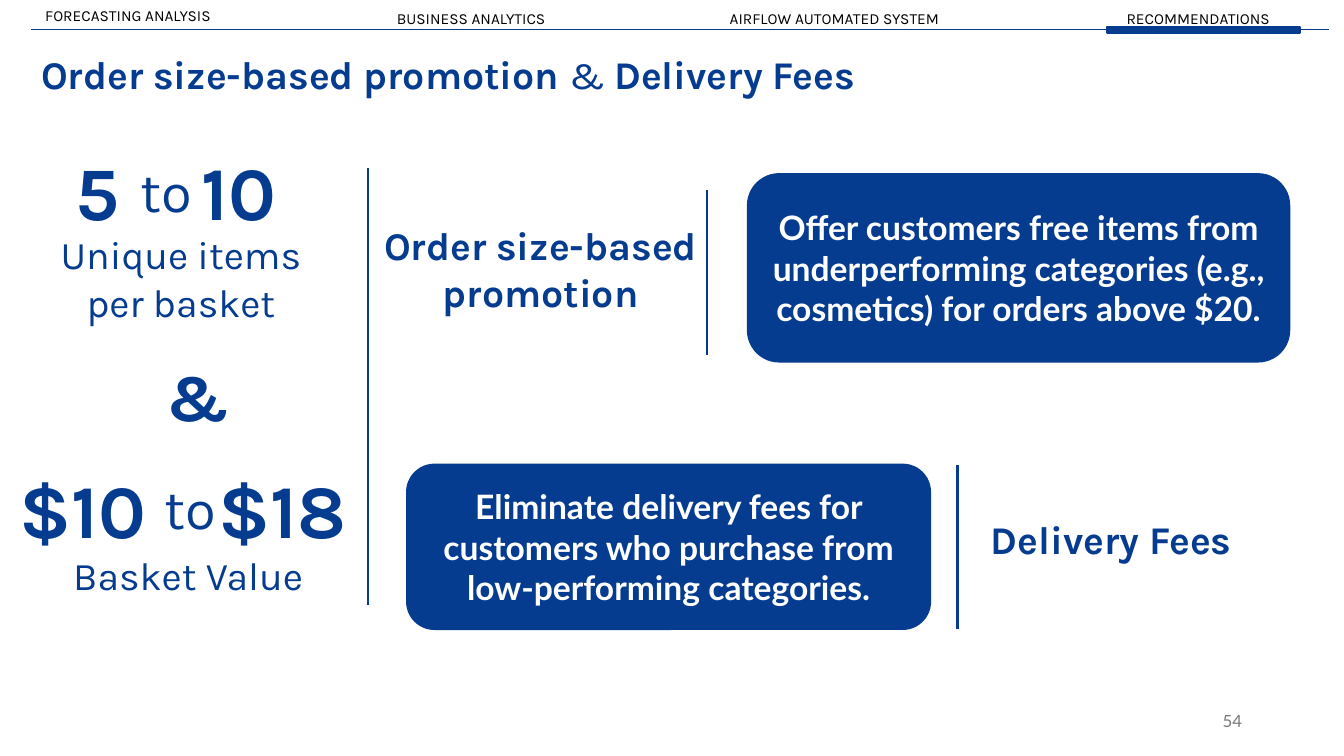
from dataclasses import dataclass

from lxml.etree import SubElement
from pptx import Presentation
from pptx.dml.color import RGBColor
from pptx.enum.shapes import MSO_CONNECTOR, MSO_SHAPE
from pptx.enum.text import MSO_ANCHOR, MSO_AUTO_SIZE, PP_ALIGN
from pptx.oxml.ns import qn
from pptx.shapes.autoshape import Shape
from pptx.slide import Slide
from pptx.text.text import _Run
from pptx.util import Cm, Pt


@dataclass(frozen=True)
class Theme:
    blue: RGBColor = RGBColor(0x05, 0x3C, 0x8F)
    black: RGBColor = RGBColor(0, 0, 0)
    white: RGBColor = RGBColor(0xFF, 0xFF, 0xFF)
    grey: RGBColor = RGBColor(0x79, 0x79, 0x79)
    heading_font: str = "Karla"
    body_font: str = "Lato"
    figure: int = 54
    ampersand: int = 48
    joiner: int = 40
    heading: int = 28
    card: int = 24
    number: int = 12
    nav: int = 11
    rule: float = 1.5
    thin_rule: float = 1


THEME = Theme()


@dataclass(frozen=True)
class Label:
    text: str
    x: float
    y: float
    w: float
    h: float
    size: int = THEME.heading
    bold: bool = False
    align: PP_ALIGN = PP_ALIGN.LEFT
    color: RGBColor = THEME.blue
    font: str = THEME.heading_font
    wrap: bool = True
    grow: bool = True


@dataclass(frozen=True)
class Block:
    shape: MSO_SHAPE
    x: float
    y: float
    w: float
    h: float
    text: str = ""


@dataclass(frozen=True)
class Rule:
    x1: float
    y1: float
    x2: float
    y2: float
    width: float = THEME.rule


NAV = [
    Label(text, x, y, w, 0.74, THEME.nav, color=THEME.black, wrap=False)
    for text, x, y, w in (
        ("FORECASTING ANALYSIS", 0.89, 0.03, 4.83),
        ("BUSINESS ANALYTICS", 9.75, 0.1, 4.29),
        ("AIRFLOW AUTOMATED SYSTEM", 18.14, 0.1, 6.05),
        ("RECOMMENDATIONS", 28.14, 0.1, 4.32),
    )
]
FIGURES = [
    Label(text, x, y, w, 2.57, THEME.figure, True)
    for text, x, y, w in (
        ("5", 1.65, 3.53, 2.44),
        ("10", 4.83, 3.53, 2.79),
        ("$10", 0.25, 11.53, 4.22),
        ("$18", 5.26, 11.53, 4.22),
    )
]
JOINERS = [
    Label("to", x, y, 2.79, 1.96, THEME.joiner)
    for x, y in ((3.3, 3.81), (3.89, 11.81))
]
CAPTIONS = [
    Label("Unique items per basket", 0.89, 5.69, 7.34, 2.64, align=PP_ALIGN.CENTER),
    Label("Basket Value", 1.07, 13.77, 7.34, 1.45, align=PP_ALIGN.CENTER),
    Label("&", 3.91, 8.81, 1.85, 2.31, THEME.ampersand, True),
    Label("Order size-based promotion", 9.27, 5.46, 8.71, 2.64,
          bold=True, align=PP_ALIGN.CENTER),
    Label("Delivery Fees", 23.65, 12.85, 8.71, 1.45,
          bold=True, align=PP_ALIGN.CENTER),
]
PAGE_NUMBER = Label("54", 23.93, 17.65, 7.62, 1.02, THEME.number,
                    align=PP_ALIGN.RIGHT, color=THEME.grey,
                    font=THEME.body_font, grow=False)
TITLE = Label("Order size-based promotion ", 0.79, 0.66, 22.2, 2.57,
              bold=True, grow=False)
BLOCKS = [
    Block(MSO_SHAPE.RECTANGLE, 27.89, 0.69, 4.88, 0.13),
    Block(MSO_SHAPE.ROUNDED_RECTANGLE, 18.85, 4.39, 13.64, 4.72,
          "Offer customers free items from underperforming categories "
          "(e.g., cosmetics) for orders above $20."),
    Block(MSO_SHAPE.ROUNDED_RECTANGLE, 10.26, 11.71, 13.18, 4.14,
          "Eliminate delivery fees for customers who purchase from "
          "low-performing categories."),
]
NAV_RULE = Rule(0.79, 0.74, 33.5, 0.74, THEME.thin_rule)
DIVIDERS = [
    Rule(9.27, 15.24, 9.27, 4.24),
    Rule(17.81, 8.94, 17.81, 4.8),
    Rule(24.13, 15.85, 24.13, 11.71),
]


def style_run(r: _Run, font: str, size: int, color: RGBColor, bold: bool) -> None:
    """Set the typeface, size, colour and weight of a run."""
    r.font.name = font
    r.font.size = Pt(size)
    r.font.color.rgb = color
    r.font.bold = bold


def add_label(s: Slide, label: Label) -> Shape:
    """Add a text box with one styled run."""
    sp = s.shapes.add_textbox(Cm(label.x), Cm(label.y), Cm(label.w), Cm(label.h))
    tf = sp.text_frame
    tf.text = label.text
    tf.word_wrap = label.wrap
    if label.grow:
        tf.auto_size = MSO_AUTO_SIZE.SHAPE_TO_FIT_TEXT
    else:
        tf.vertical_anchor = MSO_ANCHOR.MIDDLE
    p = tf.paragraphs[0]
    p.alignment = label.align
    style_run(p.runs[0], label.font, label.size, label.color, label.bold)
    return sp


def add_title(s: Slide) -> None:
    """Add the title with its light ampersand."""
    p = add_label(s, TITLE).text_frame.paragraphs[0]
    p.line_spacing = 0.9
    for text, bold in (("& ", False), ("Delivery Fees", True)):
        r = p.add_run()
        r.text = text
        style_run(r, TITLE.font, TITLE.size, TITLE.color, bold)


def add_block(s: Slide, block: Block) -> None:
    """Add a solid blue shape, with white text if it has any."""
    sp = s.shapes.add_shape(block.shape, Cm(block.x), Cm(block.y),
                            Cm(block.w), Cm(block.h))
    sp.shadow.inherit = False
    sp.fill.solid()
    sp.fill.fore_color.rgb = THEME.blue
    sp.line.color.rgb = THEME.blue
    sp.line.width = Pt(THEME.rule)
    if block.text:
        tf = sp.text_frame
        tf.text = block.text
        tf.word_wrap = True
        tf.vertical_anchor = MSO_ANCHOR.MIDDLE
        p = tf.paragraphs[0]
        p.alignment = PP_ALIGN.CENTER
        style_run(p.runs[0], THEME.body_font, THEME.card, THEME.white, True)


def add_rule(s: Slide, rule: Rule) -> None:
    """Add a straight blue line without a shadow."""
    line = s.shapes.add_connector(MSO_CONNECTOR.STRAIGHT, Cm(rule.x1), Cm(rule.y1),
                                  Cm(rule.x2), Cm(rule.y2))
    line.line.color.rgb = THEME.blue
    line.line.width = Pt(rule.width)
    SubElement(line._element.spPr, qn("a:effectLst"))


def main() -> None:
    """Build the slide and save it."""
    prs = Presentation()
    prs.slide_width, prs.slide_height = Cm(33.87), Cm(19.05)
    s = prs.slides.add_slide(prs.slide_layouts[6])
    add_rule(s, NAV_RULE)
    for block in BLOCKS:
        add_block(s, block)
    add_title(s)
    for label in NAV + FIGURES + JOINERS + CAPTIONS + [PAGE_NUMBER]:
        add_label(s, label)
    for rule in DIVIDERS:
        add_rule(s, rule)
    prs.save("out.pptx")


if __name__ == "__main__":
    main()
